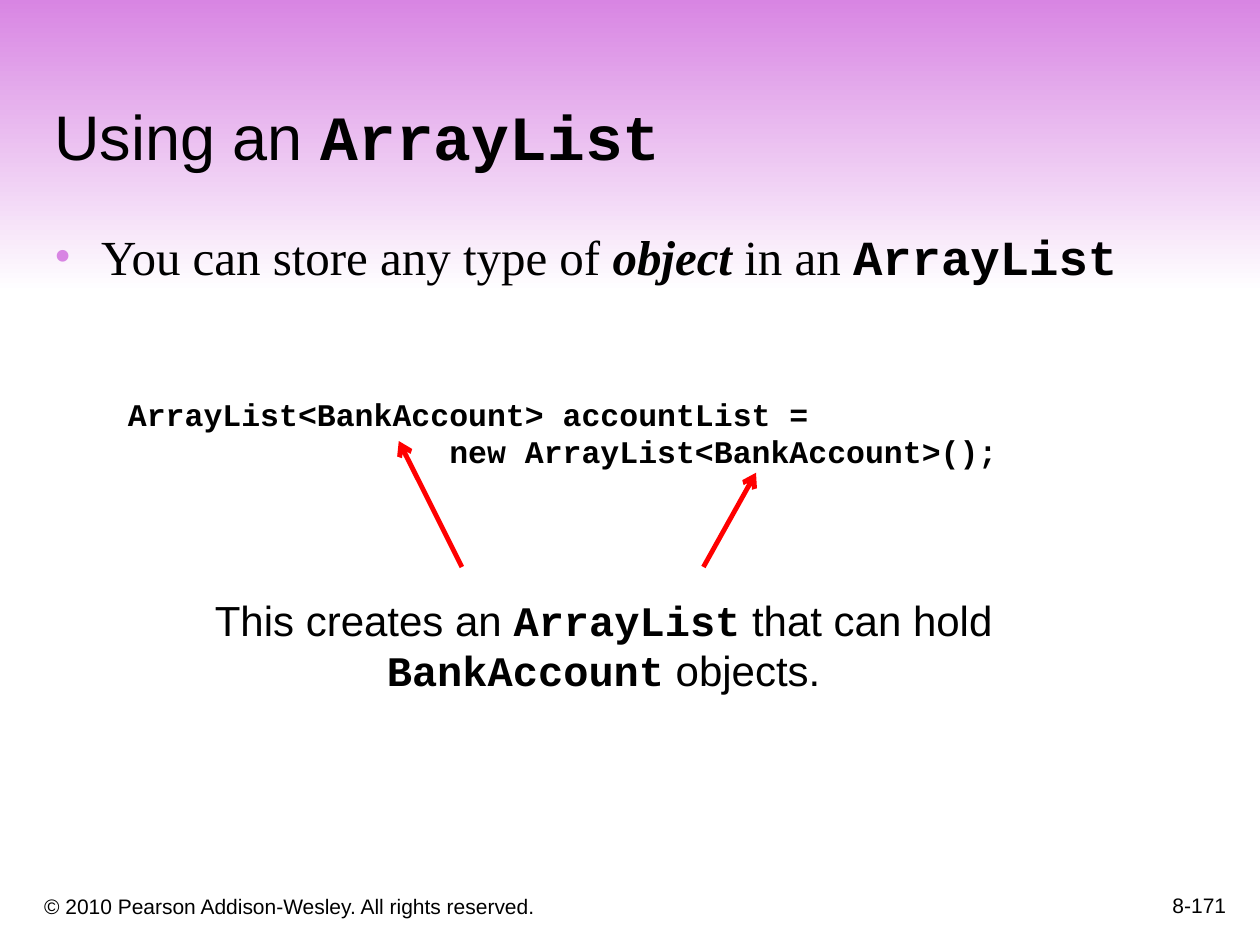
import pptx
import pptx.dml.color
import pptx.enum.shapes
import pptx.enum.text
import pptx.oxml.ns
import pptx.util
from lxml import etree

Cm = pptx.util.Cm
Pt = pptx.util.Pt
RGBColor = pptx.dml.color.RGBColor
ALIGN = pptx.enum.text.PP_ALIGN
ANCHOR = pptx.enum.text.MSO_ANCHOR

BLACK = RGBColor(0x00, 0x00, 0x00)
WHITE = RGBColor(0xFF, 0xFF, 0xFF)
RED = RGBColor(0xFF, 0x00, 0x00)
ORCHID = RGBColor(0xD8, 0x85, 0xE3)
SANS, SERIF, MONO = "Arial", "Times New Roman", "Courier New"

# Each paragraph is a list of (text, style); style is "", "code" or "emphasis".
TITLE = [[("Using an ", ""), ("ArrayList", "code")]]
BULLETS = [[("You can store any type of ", ""), ("object", "emphasis"),
            (" in an ", ""), ("ArrayList", "code")]]
CODE = [[("ArrayList<BankAccount> accountList =", "code")],
        [("                 new ArrayList<BankAccount>();", "code")]]
EXPLANATION = [[("This creates an ", ""), ("ArrayList", "code"),
                (" that can hold ", ""), ("BankAccount", "code"), (" objects.", "")]]
COPYRIGHT = [[("© 2010 Pearson Addison-Wesley. All rights reserved.", "")]]
PAGE_NUMBER = [[("8-171", "")]]

# Start x, start y, tip x, tip y in cm
ARROWS = [(9.31, 11.43, 8.04, 8.89), (14.18, 11.43, 15.24, 9.53)]


def write(shape, paragraphs, size, font=SANS, align=ALIGN.LEFT, anchor=ANCHOR.TOP,
          bullet_indent=None):
    frame = shape.text_frame
    frame.word_wrap = True
    frame.auto_size = pptx.enum.text.MSO_AUTO_SIZE.NONE
    frame.vertical_anchor = anchor
    for index, runs in enumerate(paragraphs):
        paragraph = frame.add_paragraph() if index else frame.paragraphs[0]
        paragraph.alignment = align
        if bullet_indent:
            add_bullet(paragraph, bullet_indent)
        paragraph.font.size = Pt(size)
        paragraph.font.color.rgb = BLACK
        for text, style in runs:
            run = paragraph.add_run()
            run.text = text
            run.font.name = MONO if style == "code" else font
            run.font.size = Pt(size)
            run.font.color.rgb = BLACK
            run.font.bold = style in ("code", "emphasis")
            run.font.italic = style == "emphasis"


def add_bullet(paragraph, indent):
    qn = pptx.oxml.ns.qn
    properties = paragraph._p.get_or_add_pPr()
    properties.set("marL", str(indent))
    properties.set("indent", str(-indent))
    color = etree.SubElement(properties, qn("a:buClr"))
    etree.SubElement(color, qn("a:srgbClr"), val=str(ORCHID))
    etree.SubElement(properties, qn("a:buFont"), typeface=SERIF)
    etree.SubElement(properties, qn("a:buChar"), char="•")


def add_text(slide, box, paragraphs, size, **options):
    shape = slide.shapes.add_textbox(*map(Cm, box))
    write(shape, paragraphs, size, **options)
    return shape


def add_arrow(slide, ends):
    qn = pptx.oxml.ns.qn
    arrow = slide.shapes.add_connector(
        pptx.enum.shapes.MSO_CONNECTOR.STRAIGHT, *map(Cm, ends))
    arrow.line.color.rgb = RED
    arrow.line.width = Pt(2.75)
    etree.SubElement(arrow.line._get_or_add_ln(), qn("a:tailEnd"), type="arrow")
    etree.SubElement(arrow._element.spPr, qn("a:effectLst"))


def add_band(slide):
    band = slide.shapes.add_shape(
        pptx.enum.shapes.MSO_SHAPE.PENTAGON, Cm(0), Cm(-0.02), Cm(25.4), Cm(5.92))
    band.adjustments[0] = 0
    band.shadow.inherit = False
    band.line.fill.background()
    band.fill.gradient()
    band.fill.gradient_angle = 270
    for stop, color, position in zip(band.fill.gradient_stops, (ORCHID, WHITE), (0, 1)):
        stop.color.rgb = color
        stop.position = position
    return band


def main():
    presentation = pptx.Presentation()
    presentation.slide_width, presentation.slide_height = Cm(25.4), Cm(19.05)
    slide = presentation.slides.add_slide(presentation.slide_layouts[5])

    title = slide.shapes.title
    title.left, title.top, title.width, title.height = map(Cm, (0.84, 0.84, 24.77, 2.77))
    write(title, TITLE, 36, anchor=ANCHOR.BOTTOM)
    title._element.addprevious(add_band(slide)._element)

    add_text(slide, (0.64, 17.58, 15.44, 1.07), COPYRIGHT, 12, anchor=ANCHOR.BOTTOM)
    body = add_text(slide, (0.84, 4.45, 23.04, 12.7), BULLETS, 28, font=SERIF,
                    bullet_indent=Cm(0.95))
    body.text_frame.margin_right = 0
    add_text(slide, (19.69, 17.35, 5.28, 1.27), PAGE_NUMBER, 12,
             align=ALIGN.RIGHT, anchor=ANCHOR.BOTTOM)
    add_text(slide, (2.33, 7.83, 19.05, 1.8), CODE, 18)
    for ends in ARROWS:
        add_arrow(slide, ends)
    add_text(slide, (4.02, 11.85, 16.3, 2.31), EXPLANATION, 24, align=ALIGN.CENTER)

    presentation.save("out.pptx")


if __name__ == "__main__":
    main()
